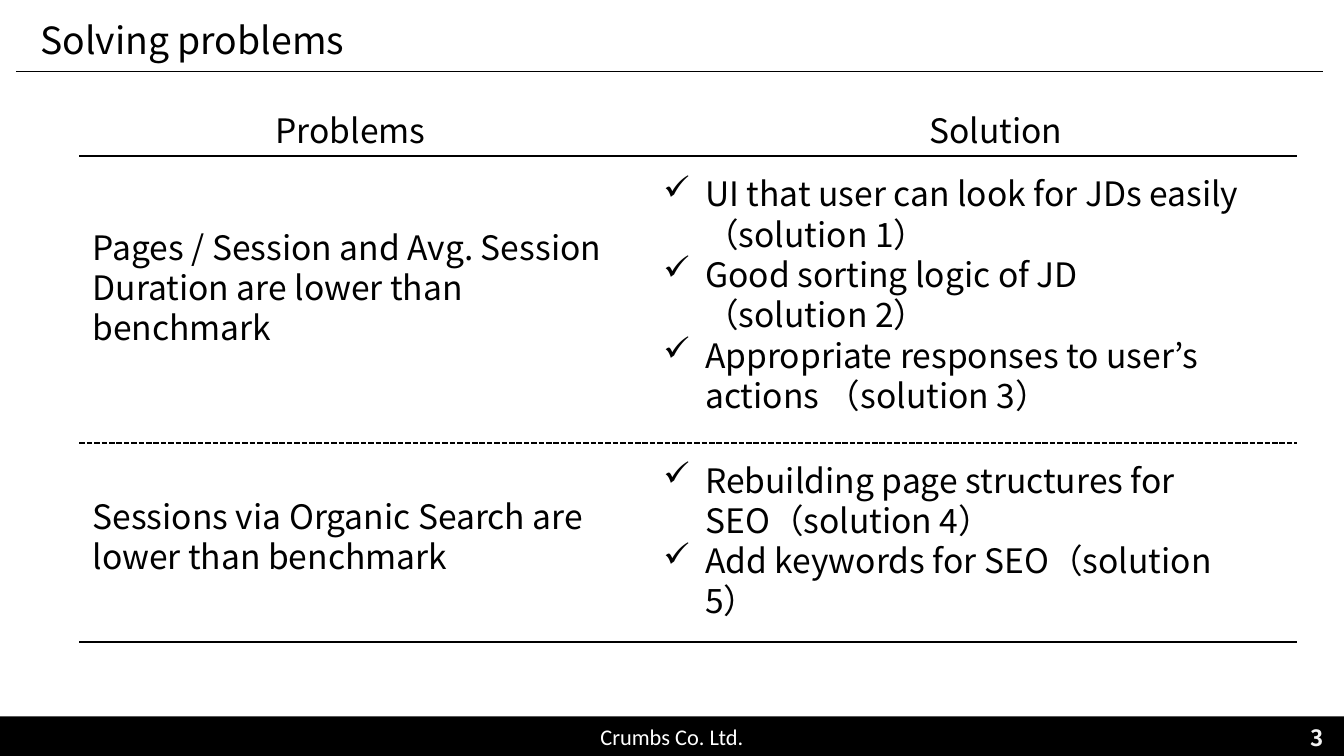
import pptx
import pptx.dml.color
import pptx.enum.dml
import pptx.enum.shapes
import pptx.enum.text
import pptx.oxml.ns
import pptx.util
from dataclasses import dataclass
from lxml import etree

Cm, Pt = pptx.util.Cm, pptx.util.Pt
RGB = pptx.dml.color.RGBColor
ALIGN = pptx.enum.text.PP_ALIGN
ANCHOR = pptx.enum.text.MSO_ANCHOR
DASH = pptx.enum.dml.MSO_LINE
qn = pptx.oxml.ns.qn


@dataclass(frozen=True)
class Theme:
    font: str = "Noto Sans CJK JP"
    footer_font: str = "Calibri"
    ink: RGB = RGB(0, 0, 0)
    footer_ink: RGB = RGB(255, 255, 255)
    number_ink: RGB = RGB(0xF2, 0xF2, 0xF2)
    title: int = 20
    body: int = 18
    small: int = 12


THEME = Theme()

# Comparison grid, in cm
LEFT, RIGHT = 1.5, 24.51
PROBLEM_W = 10.72
SOLUTION_X, SOLUTION_W = 12.29, 11.38

# Problem, its top and height, solutions, their top and height
ROWS = [
    ("Pages / Session and Avg. Session Duration are lower than benchmark", 4.16, 2.5,
     ["UI that user can look for JDs easily（solution 1）",
      "Good sorting logic of JD（solution 2）",
      "Appropriate responses to user’s actions （solution 3）"], 3.15, 5.64),
    ("Sessions via Organic Search are lower than benchmark", 9.25, 1.8,
     ["Rebuilding page structures for SEO（solution 4）",
      "Add keywords for SEO（solution 5）"], 8.56, 3.33),
]


def add_check(p):
    """Give a paragraph a hanging check mark."""
    pPr = p._p.get_or_add_pPr()
    pPr.set("marL", str(Cm(0.79)))
    pPr.set("indent", str(-Cm(0.79)))
    etree.SubElement(pPr, qn("a:buChar")).set("char", "✓")


def write(tf, paragraphs, size=THEME.body, color=THEME.ink, font=THEME.font,
          bold=False, align=ALIGN.LEFT, anchor=ANCHOR.TOP, check=False, wrap=True):
    tf.word_wrap = wrap
    tf.vertical_anchor = anchor
    for i, text in enumerate(paragraphs):
        p = tf.add_paragraph() if i else tf.paragraphs[0]
        p.alignment = align
        if check:
            add_check(p)
        r = p.add_run()
        r.text = text
        r.font.size, r.font.bold, r.font.name = Pt(size), bold, font
        r.font.color.rgb = color
        # East Asian punctuation uses the same typeface
        etree.SubElement(r._r.get_or_add_rPr(), qn("a:ea")).set("typeface", font)


def add_text(s, x, y, w, h, *paragraphs, **fmt):
    sp = s.shapes.add_textbox(Cm(x), Cm(y), Cm(w), Cm(h))
    write(sp.text_frame, paragraphs, **fmt)


def add_rule(s, x1, x2, y, width=1, dash=None):
    sp = s.shapes.add_connector(pptx.enum.shapes.MSO_CONNECTOR.STRAIGHT,
                                Cm(x1), Cm(y), Cm(x2), Cm(y))
    sp.line.color.rgb = THEME.ink
    sp.line.width = Pt(width)
    if dash:
        sp.line.dash_style = dash
    etree.SubElement(sp._element.spPr, qn("a:effectLst"))


def add_footer(s, text, number):
    sp = s.shapes.add_shape(pptx.enum.shapes.MSO_SHAPE.RECTANGLE,
                            Cm(0), Cm(13.54), Cm(25.4), Cm(0.75))
    sp.shadow.inherit = False
    sp.fill.solid()
    sp.fill.fore_color.rgb = THEME.ink
    sp.line.fill.background()
    write(sp.text_frame, [text], size=THEME.small, color=THEME.footer_ink,
          font=THEME.footer_font, align=ALIGN.CENTER, anchor=ANCHOR.MIDDLE)
    add_text(s, 19.35, 13.56, 5.92, 0.76, number, size=THEME.small, bold=True,
             color=THEME.number_ink, align=ALIGN.RIGHT, anchor=ANCHOR.MIDDLE)


def main():
    prs = pptx.Presentation()
    prs.slide_width, prs.slide_height = Cm(25.4), Cm(14.29)
    s = prs.slides.add_slide(prs.slide_layouts[6])

    # Frame: footer, title and its rule
    add_footer(s, "Crumbs Co. Ltd.", "3")
    add_rule(s, 0.3, 25, 1.35, width=0.75)
    add_text(s, 0.51, 0.15, 20.8, 1.19, "Solving problems",
             size=THEME.title, anchor=ANCHOR.MIDDLE)

    # Column headings
    for x, w, heading in [(4.93, 3.4, "Problems"), (17.3, 3.05, "Solution")]:
        add_text(s, x, 1.96, w, 1.02, heading, align=ALIGN.CENTER, wrap=False)

    # Row rules
    for y, dash in [(2.95, None), (8.38, DASH.SQUARE_DOT), (12.14, None)]:
        add_rule(s, LEFT, RIGHT, y, dash=dash)

    # Problems and their solutions
    for problem, top, height, solutions, sol_top, sol_height in ROWS:
        add_text(s, LEFT, top, PROBLEM_W, height, problem)
        add_text(s, SOLUTION_X, sol_top, SOLUTION_W, sol_height, *solutions, check=True)

    prs.save("out.pptx")


if __name__ == "__main__":
    main()
